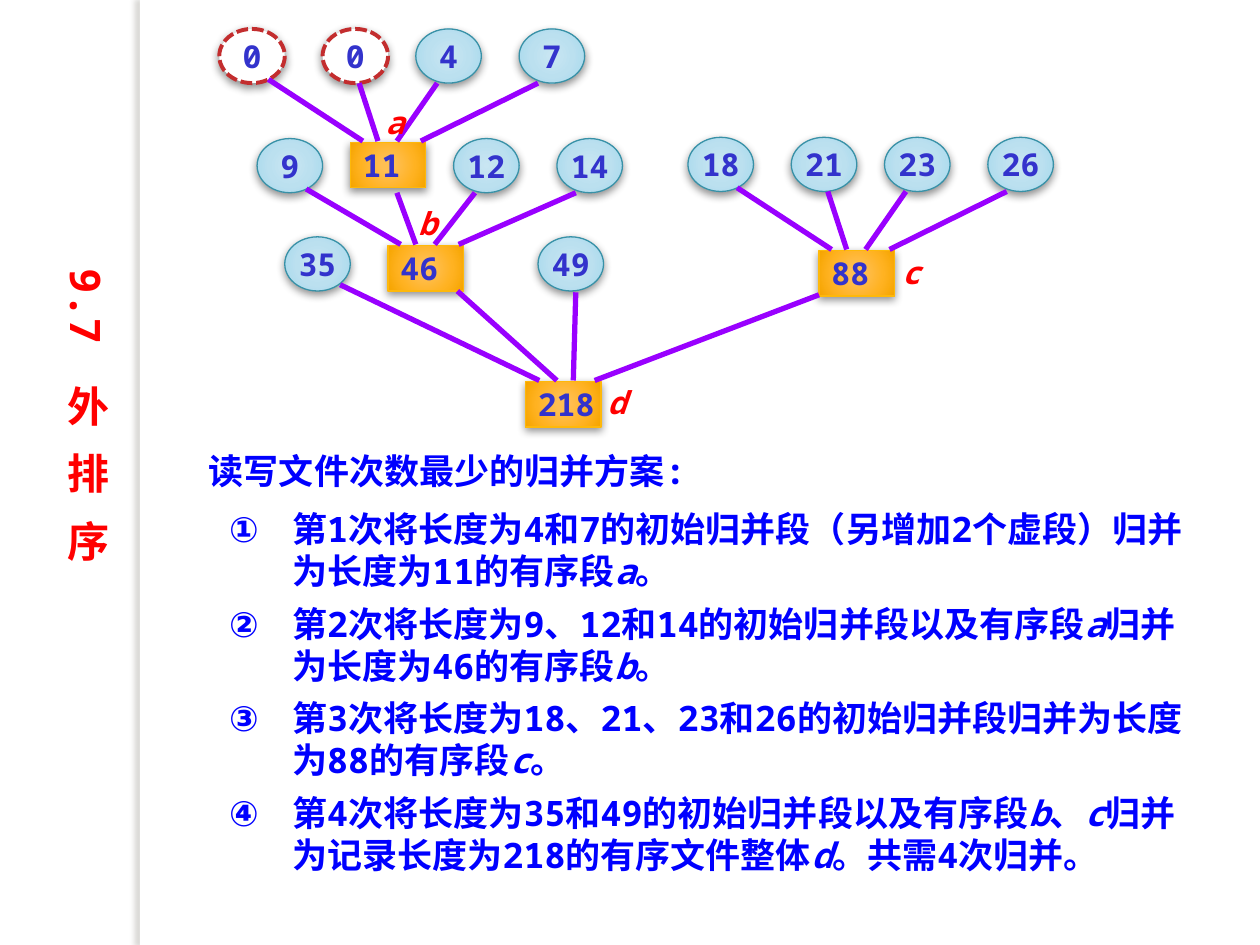
from pptx import Presentation
from pptx.dml.color import RGBColor
from pptx.enum.dml import MSO_LINE
from pptx.enum.shapes import MSO_CONNECTOR, MSO_SHAPE
from pptx.enum.text import MSO_ANCHOR, PP_ALIGN
from pptx.oxml import parse_xml
from pptx.oxml.ns import qn
from pptx.util import Inches, Pt
from lxml import etree

OVAL = MSO_SHAPE.OVAL
RECT = MSO_SHAPE.RECTANGLE
LINE = MSO_CONNECTOR.STRAIGHT
DASH = MSO_LINE.SQUARE_DOT
MIDDLE = MSO_ANCHOR.MIDDLE
CENTER = PP_ALIGN.CENTER
FONT = "Noto Sans Mono"
NS = 'xmlns:a="http://schemas.openxmlformats.org/drawingml/2006/main"'

COLORS = {
    "white": "FFFFFF", "red": "FF0000", "blue": "0000FF", "label": "3333CC",
    "edge": "9900FF", "dash": "C32D2E", "leaf": "3891A7", "box": "FEB80A",
    "shade": "000000", "strip": "736F63",
}
BLUES = [(0, "C9E6F2"), (50, "BBE0EF"), (97, "A4D8ED"), (100, "9BD7EE")]
GOLDS = [(0, "FFBF54"), (15, "FFBF53"), (62, "FFB221"), (97, "F6A500"), (100, "D69900")]

LEAF_X = [0, 0.82, 1.56, 2.38]
STARTS = [(0.39, 0.4), (1.11, 0.43), (1.73, 0.43), (2.53, 0.43)]
ENDS = [1.14, 1.26, 1.41, 1.6]
FAMILIES = [
    (1.74, 0.23, ["0", "0", "4", "7"], "11", 0.9),
    (5.46, 1.09, ["18", "21", "23", "26"], "88", 0.9),
    (2.04, 1.1, ["9", None, "12", "14"], "46", 0.85),
]
ROOT_EDGES = [
    (2.7, 2.26, 4.28, 3.02), (3.63, 2.31, 4.42, 3.02),
    (4.57, 2.32, 4.55, 3.02), (6.5, 2.34, 4.72, 3.02),
]
NAMES = [("a", 2.96, 0.77), ("b", 3.22, 1.57), ("d", 4.72, 2.99), ("c", 7.06, 1.96)]
STEPS = [
    "第1次将长度为4和7的初始归并段（另增加2个虚段）归并为长度为11的有序段|a|。",
    "第2次将长度为9、12和14的初始归并段以及有序段|a|归并为长度为46的有序段|b|。",
    "第3次将长度为18、21、23和26的初始归并段归并为长度为88的有序段|c|。",
    "第4次将长度为35和49的初始归并段以及有序段|b|、|c|归并为记录长度为218的有序文件整体|d|。共需4次归并。",
]


def color(name):
    return RGBColor.from_string(COLORS[name])


def style(run, size, tint, slant=False):
    font = run.font
    font.name = FONT
    font.size = Pt(size)
    font.bold = True
    font.italic = slant
    font.color.rgb = color(tint)
    latin = run._r.rPr.find(qn("a:latin"))
    latin.addnext(parse_xml(f'<a:ea {NS} typeface="{FONT}"/>'))


def shade(shape, tint, alpha, blur, dist, angle):
    shape.shadow.inherit = False
    effects = shape._element.spPr.find(qn("a:effectLst"))
    effects.append(parse_xml(
        f'<a:outerShdw {NS} blurRad="{Pt(blur)}" dist="{Pt(dist)}" '
        f'dir="{angle * 60000}" algn="ctr" rotWithShape="0">'
        f'<a:srgbClr val="{COLORS[tint]}"><a:alpha val="{alpha * 1000}"/>'
        '</a:srgbClr></a:outerShdw>'))


def glow(shape, stops):
    marks = "".join(
        f'<a:gs pos="{pos * 1000}"><a:srgbClr val="{tint}"/></a:gs>'
        for pos, tint in stops)
    geom = shape._element.spPr.find(qn("a:prstGeom"))
    geom.addnext(parse_xml(
        f'<a:gradFill {NS} rotWithShape="1"><a:gsLst>{marks}</a:gsLst>'
        '<a:path path="circle"><a:fillToRect l="50000" t="50000" r="50000" b="50000"/>'
        '</a:path></a:gradFill>'))


def add_node(slide, kind, x, y, w, h, text, tint, stops):
    node = slide.shapes.add_shape(kind, Inches(x), Inches(y), Inches(w), Inches(h))
    if stops:
        glow(node, stops)
    else:
        node.fill.solid()
        node.fill.fore_color.rgb = color("white")
        node.line.dash_style = DASH
    node.line.color.rgb = color(tint)
    node.line.width = Pt(0.75 if stops else 2.25)
    shade(node, "shade", 43, 5, 2, 90)
    frame = node.text_frame
    frame.text = text
    frame.word_wrap = False
    frame.vertical_anchor = MIDDLE
    para = frame.paragraphs[0]
    para.alignment = CENTER if kind == OVAL else PP_ALIGN.LEFT
    style(para.runs[0], 18, "label")


def add_leaf(slide, x, y, text):
    tint, stops = ("dash", None) if text == "0" else ("leaf", BLUES)
    add_node(slide, OVAL, x, y, 0.52, 0.43, text, tint, stops)


def add_box(slide, x, y, text):
    add_node(slide, RECT, x, y, 0.6, 0.36, text, "box", GOLDS)


def add_edge(slide, x1, y1, x2, y2):
    edge = slide.shapes.add_connector(LINE, Inches(x1), Inches(y1), Inches(x2), Inches(y2))
    edge.line.color.rgb = color("edge")
    edge.line.width = Pt(3)
    etree.SubElement(edge._element.spPr, qn("a:effectLst"))


def add_family(slide, x, y, leaves, total, drop):
    for shift, text in zip(LEAF_X, leaves):
        if text:
            add_leaf(slide, x + shift, y, text)
    add_box(slide, x + 1.04, y + drop, total)
    for (dx, dy), end in zip(STARTS, ENDS):
        add_edge(slide, x + dx, y + dy, x + end, y + drop - 0.01)


def add_text(slide, x, y, w, h, text, size, tint, slant=False):
    box = slide.shapes.add_textbox(Inches(x), Inches(y), Inches(w), Inches(h))
    frame = box.text_frame
    frame.word_wrap = True
    frame.text = text
    style(frame.paragraphs[0].runs[0], size, tint, slant)
    return frame


def add_steps(slide):
    box = slide.shapes.add_textbox(Inches(1.72), Inches(3.98), Inches(7.97), Inches(3.05))
    frame = box.text_frame
    frame.word_wrap = True
    for i, step in enumerate(STEPS):
        para = frame.add_paragraph() if i else frame.paragraphs[0]
        para.space_before = Pt(6)
        props = para._p.get_or_add_pPr()
        props.set("marL", str(Inches(0.5)))
        props.set("indent", str(-Inches(0.5)))
        etree.SubElement(props, qn("a:buAutoNum"), type="circleNumDbPlain")
        for j, part in enumerate(step.split("|")):
            run = para.add_run()
            run.text = part
            style(run, 20, "blue", j % 2 == 1)


def add_strip(slide):
    strip = slide.shapes.add_shape(RECT, Inches(1.11), 0, Inches(0.08), Inches(7.5))
    strip.fill.solid()
    strip.fill.fore_color.rgb = color("white")
    strip.line.fill.background()
    shade(strip, "strip", 25, 3, 3, 180)


def add_title(slide):
    frame = add_text(slide, 0.33, 2.03, 0.61, 3.2, "9.7\u3000外 排 序", 24, "red")
    frame._txBody.bodyPr.set("vert", "eaVert")
    frame.paragraphs[0].alignment = CENTER


def main():
    deck = Presentation()
    deck.slide_width = Inches(10)
    deck.slide_height = Inches(7.5)
    slide = deck.slides.add_slide(deck.slide_layouts[6])
    add_strip(slide)
    for family in FAMILIES:
        add_family(slide, *family)
    add_leaf(slide, 2.26, 1.88, "35")
    add_leaf(slide, 4.27, 1.88, "49")
    add_box(slide, 4.17, 3.03, "218")
    for edge in ROOT_EDGES:
        add_edge(slide, *edge)
    for name, x, y in NAMES:
        add_text(slide, x, y, 0.44, 0.4, name, 18, "red", True)
    add_text(slide, 1.56, 3.52, 4.53, 0.44, "读写文件次数最少的归并方案:", 20, "blue")
    add_steps(slide)
    add_title(slide)
    deck.save("out.pptx")


main()
